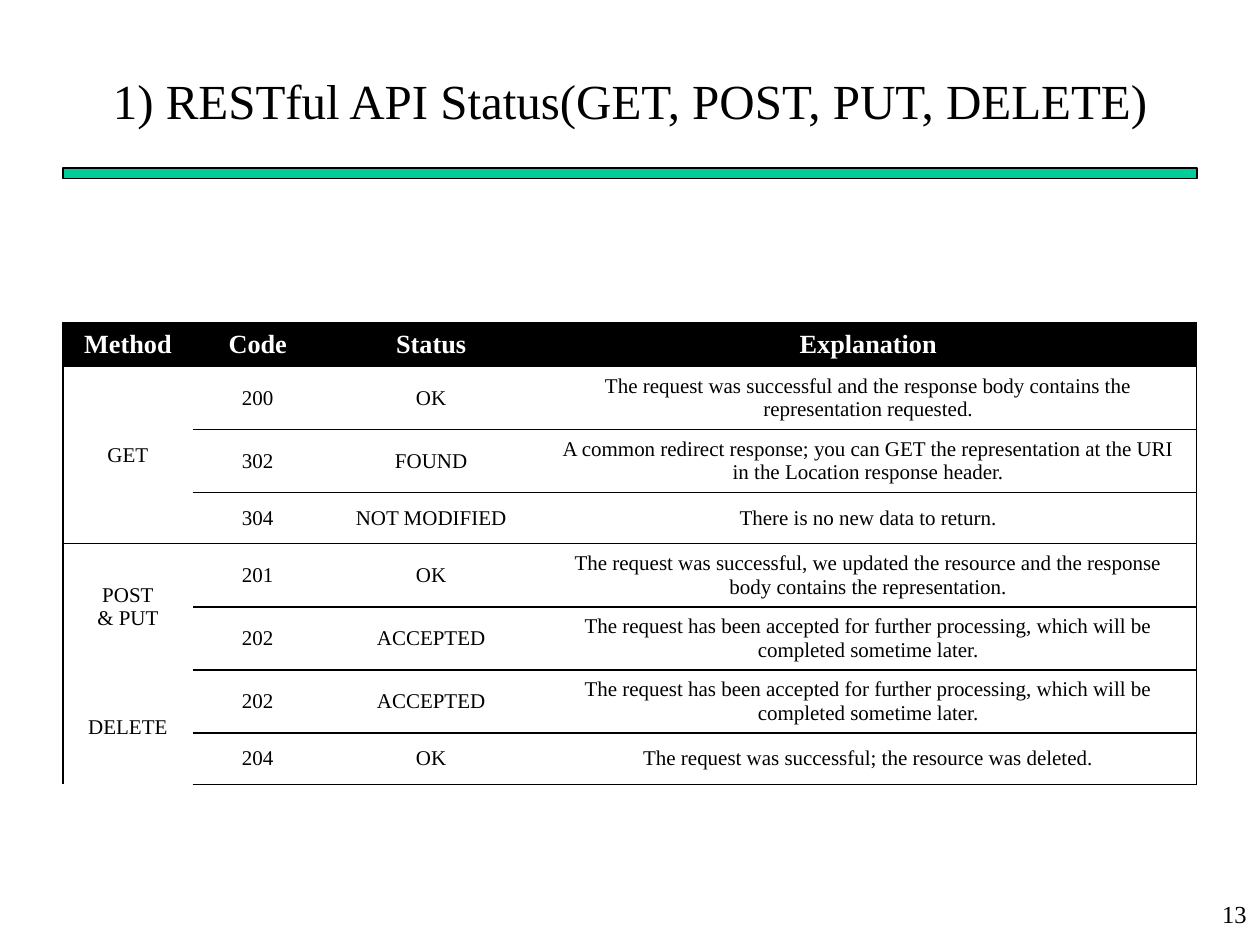
from dataclasses import dataclass

from lxml import etree
from pptx import Presentation
from pptx.dml.color import RGBColor
from pptx.enum.shapes import MSO_SHAPE
from pptx.enum.text import MSO_ANCHOR, PP_ALIGN
from pptx.oxml.ns import qn
from pptx.util import Pt

RECTANGLE = MSO_SHAPE.RECTANGLE
MIDDLE = MSO_ANCHOR.MIDDLE
CENTER = PP_ALIGN.CENTER
RIGHT = PP_ALIGN.RIGHT

FONT = "Times New Roman"
BLACK = "000000"
WHITE = "FFFFFF"
GREEN = "00CC99"
LEFT = 36
WIDTH = 648
LINE = 0.75
HEADER_HEIGHT = 24
ONE_LINE_HEIGHT = 29.2
TWO_LINE_HEIGHT = 33.8
COLUMN_WIDTHS = (74.2, 74.2, 124, 375.6)
HEADERS = ("Method", "Code", "Status", "Explanation")


@dataclass(frozen=True)
class Response:
    code: str
    status: str
    explanation: str
    height: float = TWO_LINE_HEIGHT


@dataclass(frozen=True)
class MethodGroup:
    method: str
    responses: tuple[Response, ...]
    line_below: bool = True


ACCEPTED = Response(
    "202", "ACCEPTED",
    "The request has been accepted for further processing, which will be completed sometime later.",
)
GROUPS = (
    MethodGroup("GET", (
        Response("200", "OK",
                 "The request was successful and the response body contains the representation requested."),
        Response("302", "FOUND",
                 "A common redirect response; you can GET the representation at the URI "
                 "in the Location response header."),
        Response("304", "NOT MODIFIED", "There is no new data to return.", ONE_LINE_HEIGHT),
    )),
    MethodGroup("POST\n& PUT", (
        Response("201", "OK",
                 "The request was successful, we updated the resource and the response "
                 "body contains the representation."),
        ACCEPTED,
    ), line_below=False),
    MethodGroup("DELETE", (
        ACCEPTED,
        Response("204", "OK", "The request was successful; the resource was deleted.", ONE_LINE_HEIGHT),
    )),
)


def color(value: str) -> RGBColor:
    return RGBColor.from_string(value)


def write_text(text_frame, text: str, size: float, alignment,
               text_color: str = BLACK, bold: bool = False) -> None:
    for index, line in enumerate(text.split("\n")):
        paragraph = text_frame.add_paragraph() if index else text_frame.paragraphs[0]
        paragraph.alignment = alignment
        run = paragraph.add_run()
        run.text = line
        run.font.name = FONT
        run.font.size = Pt(size)
        run.font.bold = bold
        run.font.color.rgb = color(text_color)


def set_borders(cell, sides: str) -> None:
    properties = cell._tc.get_or_add_tcPr()
    for index, side in enumerate("LRTB"):
        border = etree.Element(qn(f"a:ln{side}"), w=str(Pt(LINE)))
        if side in sides:
            fill = etree.SubElement(border, qn("a:solidFill"))
            etree.SubElement(fill, qn("a:srgbClr"), val=BLACK)
        else:
            etree.SubElement(border, qn("a:noFill"))
        properties.insert(index, border)


def format_cell(cell, text: str, size: float, text_color: str = BLACK, bold: bool = False) -> None:
    cell.vertical_anchor = MIDDLE
    write_text(cell.text_frame, text, size, CENTER, text_color, bold)


def add_title(slide) -> None:
    title = slide.shapes.title
    title.left, title.top, title.width, title.height = Pt(LEFT), Pt(24), Pt(WIDTH), Pt(66)
    title.text_frame.vertical_anchor = MIDDLE
    write_text(title.text_frame, "1) RESTful API Status(GET, POST, PUT, DELETE)", 28, CENTER)


def add_bar(slide) -> None:
    bar = slide.shapes.add_shape(RECTANGLE, Pt(LEFT), Pt(96), Pt(WIDTH), Pt(6))
    bar.shadow.inherit = False
    bar.fill.solid()
    bar.fill.fore_color.rgb = color(GREEN)
    bar.line.color.rgb = color(BLACK)
    bar.line.width = Pt(LINE)


def add_page_number(slide) -> None:
    box = slide.shapes.add_textbox(Pt(569.5), Pt(510), Pt(150), Pt(30))
    box.text_frame.word_wrap = True
    write_text(box.text_frame, "13", 14, RIGHT)


def add_status_table(slide) -> None:
    heights = [HEADER_HEIGHT] + [response.height for group in GROUPS for response in group.responses]
    frame = slide.shapes.add_table(len(heights), len(HEADERS), Pt(LEFT), Pt(184.3),
                                   Pt(WIDTH), Pt(sum(heights)))
    table = frame.table
    table.horz_banding = False
    for column, width in zip(table.columns, COLUMN_WIDTHS):
        column.width = Pt(width)
    for row, height in zip(table.rows, heights):
        row.height = Pt(height)

    last_column = len(HEADERS) - 1
    for column, header in enumerate(HEADERS):
        cell = table.cell(0, column)
        cell.fill.solid()
        cell.fill.fore_color.rgb = color(BLACK)
        format_cell(cell, header, 15, WHITE, True)
        set_borders(cell, "TB" + "L" * (column == 0) + "R" * (column == last_column))

    first_row = 1
    line_above = True
    for group in GROUPS:
        last_row = first_row + len(group.responses) - 1
        for row, response in enumerate(group.responses, first_row):
            method_cell = table.cell(row, 0)
            method_cell.fill.background()
            top = "T" if row == first_row and line_above else ""
            bottom = "B" if row == last_row and group.line_below else ""
            set_borders(method_cell, "L" + top + bottom)
            values = (response.code, response.status, response.explanation)
            for column, value in enumerate(values, 1):
                cell = table.cell(row, column)
                cell.fill.background()
                format_cell(cell, value, 12)
                set_borders(cell, "TBR" if column == last_column else "TB")
        table.cell(first_row, 0).merge(table.cell(last_row, 0))
        format_cell(table.cell(first_row, 0), group.method, 12)
        first_row = last_row + 1
        line_above = group.line_below


def main() -> None:
    presentation = Presentation()
    presentation.slide_width = Pt(720)
    presentation.slide_height = Pt(540)
    slide = presentation.slides.add_slide(presentation.slide_layouts[5])
    add_bar(slide)
    add_title(slide)
    add_page_number(slide)
    add_status_table(slide)
    presentation.save("out.pptx")


if __name__ == "__main__":
    main()
